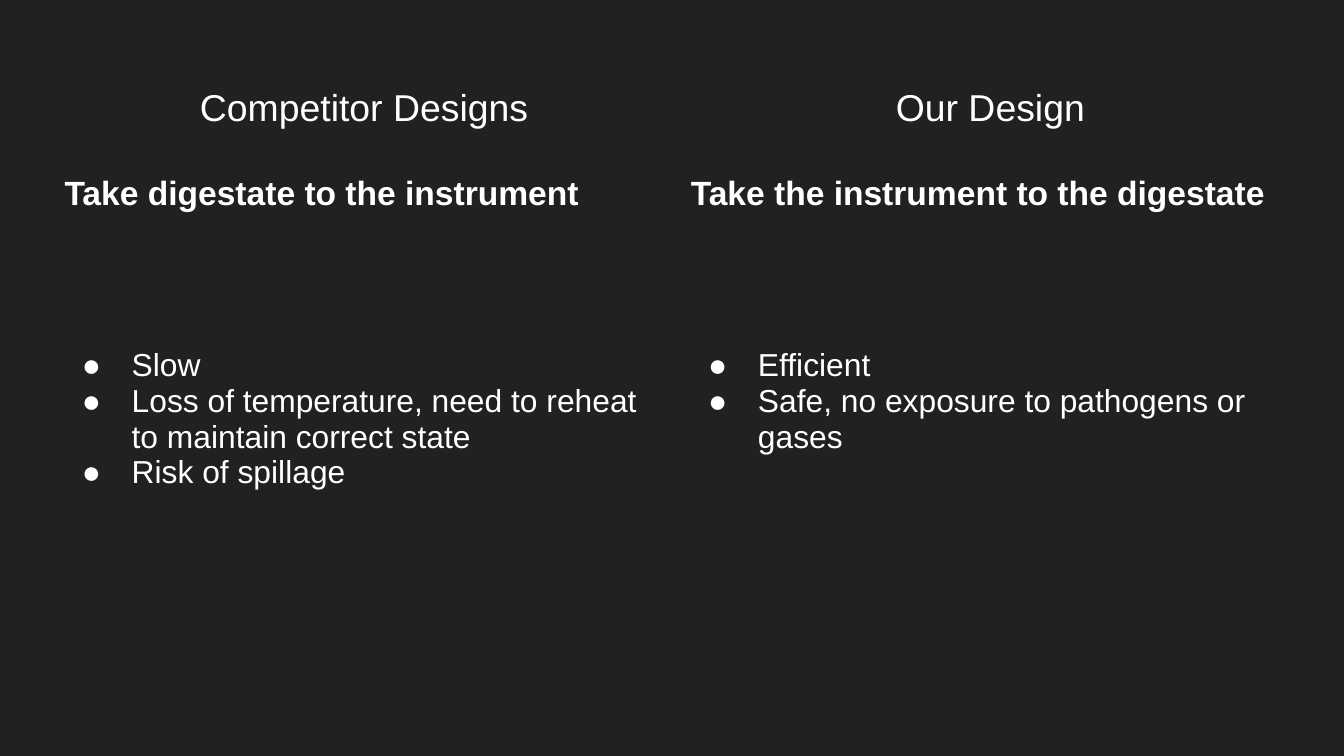
from dataclasses import dataclass

from lxml import etree
from pptx import Presentation
from pptx.dml.color import RGBColor
from pptx.enum import text
from pptx.oxml import ns
from pptx.util import Inches, Pt

BACKGROUND = "212121"
WHITE = "FFFFFF"
FONT = "Arial"
NO_GRID_STYLE = "{2D5ABB26-0587-4C30-8999-92F81FD0307C}"
COLUMN_WIDTH = 4.66
ROW_HEIGHTS = [0.65, 1.29, 1.64, 0.59]


@dataclass
class Design:
    heading: str
    approach: str
    points: list[str]


@dataclass
class Style:
    size: int
    bold: bool = False
    centred: bool = False
    bulleted: bool = False


HEADING = Style(20, centred=True)
APPROACH = Style(18, bold=True)
POINT = Style(17, bulleted=True)

DESIGNS = [
    Design(
        "Competitor Designs",
        "Take digestate to the instrument",
        [
            "Slow",
            "Loss of temperature, need to reheat to maintain correct state",
            "Risk of spillage",
        ],
    ),
    Design(
        "Our Design",
        "Take the instrument to the digestate",
        ["Efficient", "Safe, no exposure to pathogens or gases"],
    ),
]


def colour(value: str) -> RGBColor:
    return RGBColor.from_string(value)


def add_bullet(para) -> None:
    properties = para._p.get_or_add_pPr()
    properties.set("marL", str(Inches(0.5)))
    properties.set("indent", str(Inches(-0.37)))
    bullet_colour = etree.SubElement(properties, ns.qn("a:buClr"))
    etree.SubElement(bullet_colour, ns.qn("a:srgbClr"), val=WHITE)
    etree.SubElement(properties, ns.qn("a:buFont"), typeface=FONT)
    etree.SubElement(properties, ns.qn("a:buChar"), char="●")


def clear_cell(cell) -> None:
    cell.fill.background()
    cell.margin_left = cell.margin_right = Inches(0.1)
    cell.margin_top = cell.margin_bottom = Inches(0.1)


def write_cell(cell, lines: list[str], style: Style) -> None:
    cell.text_frame.text = "\n".join(lines)
    for para in cell.text_frame.paragraphs:
        if style.centred:
            para.alignment = text.PP_ALIGN.CENTER
        if style.bulleted:
            add_bullet(para)
        for span in para.runs:
            span.font.name = FONT
            span.font.size = Pt(style.size)
            span.font.bold = style.bold
            span.font.color.rgb = colour(WHITE)


def add_comparison(page, designs: list[Design]) -> None:
    frame = page.shapes.add_table(
        len(ROW_HEIGHTS), len(designs), Inches(0.38), Inches(0.55),
        Inches(COLUMN_WIDTH * len(designs)), Inches(sum(ROW_HEIGHTS)),
    )
    table = frame.table
    table.first_row = table.horz_banding = False
    table._tbl.tblPr.find(ns.qn("a:tableStyleId")).text = NO_GRID_STYLE
    for row, height in zip(table.rows, ROW_HEIGHTS):
        row.height = Inches(height)
    for cell in table.iter_cells():
        clear_cell(cell)
    for index, design in enumerate(designs):
        table.columns[index].width = Inches(COLUMN_WIDTH)
        write_cell(table.cell(0, index), [design.heading], HEADING)
        write_cell(table.cell(1, index), [design.approach], APPROACH)
        write_cell(table.cell(2, index), design.points, POINT)


def main() -> None:
    deck = Presentation()
    deck.slide_width = Inches(10)
    deck.slide_height = deck.slide_width * 9 // 16
    page = deck.slides.add_slide(deck.slide_layouts[6])
    page.background.fill.solid()
    page.background.fill.fore_color.rgb = colour(BACKGROUND)
    add_comparison(page, DESIGNS)
    deck.save("out.pptx")


if __name__ == "__main__":
    main()
